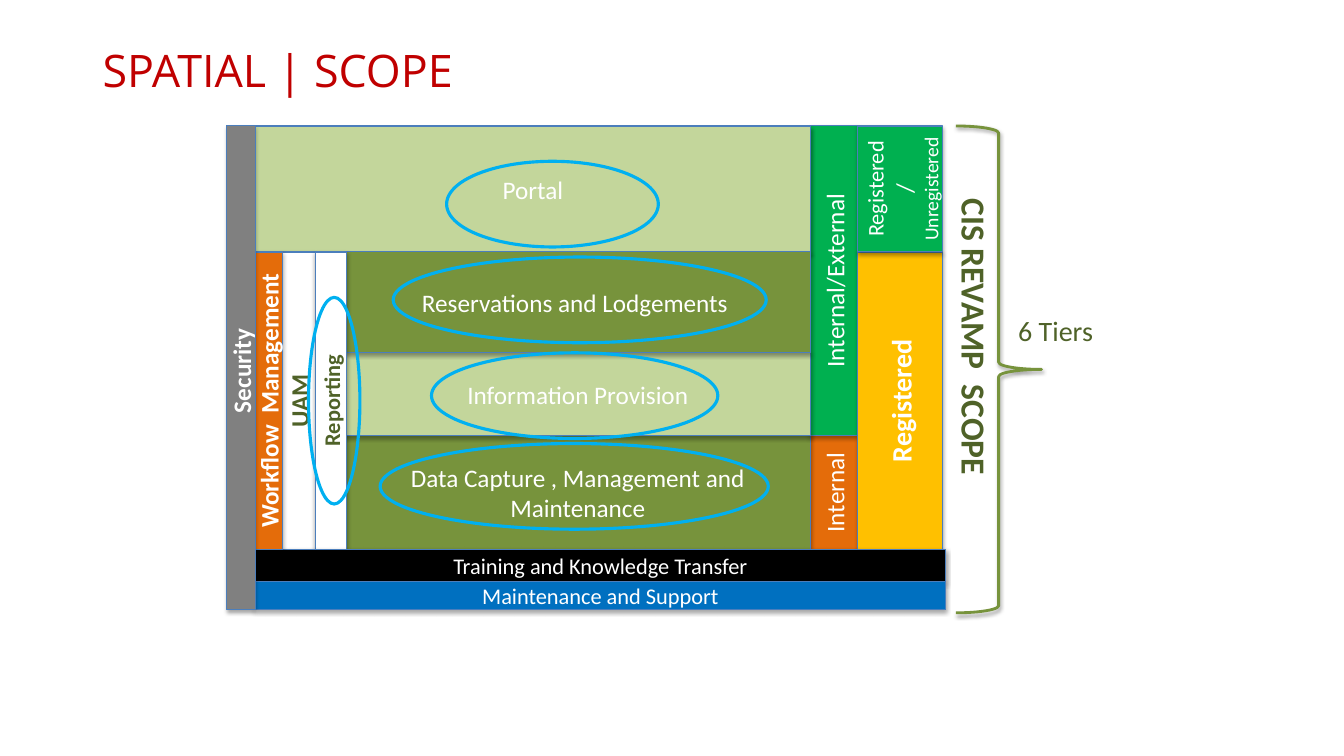
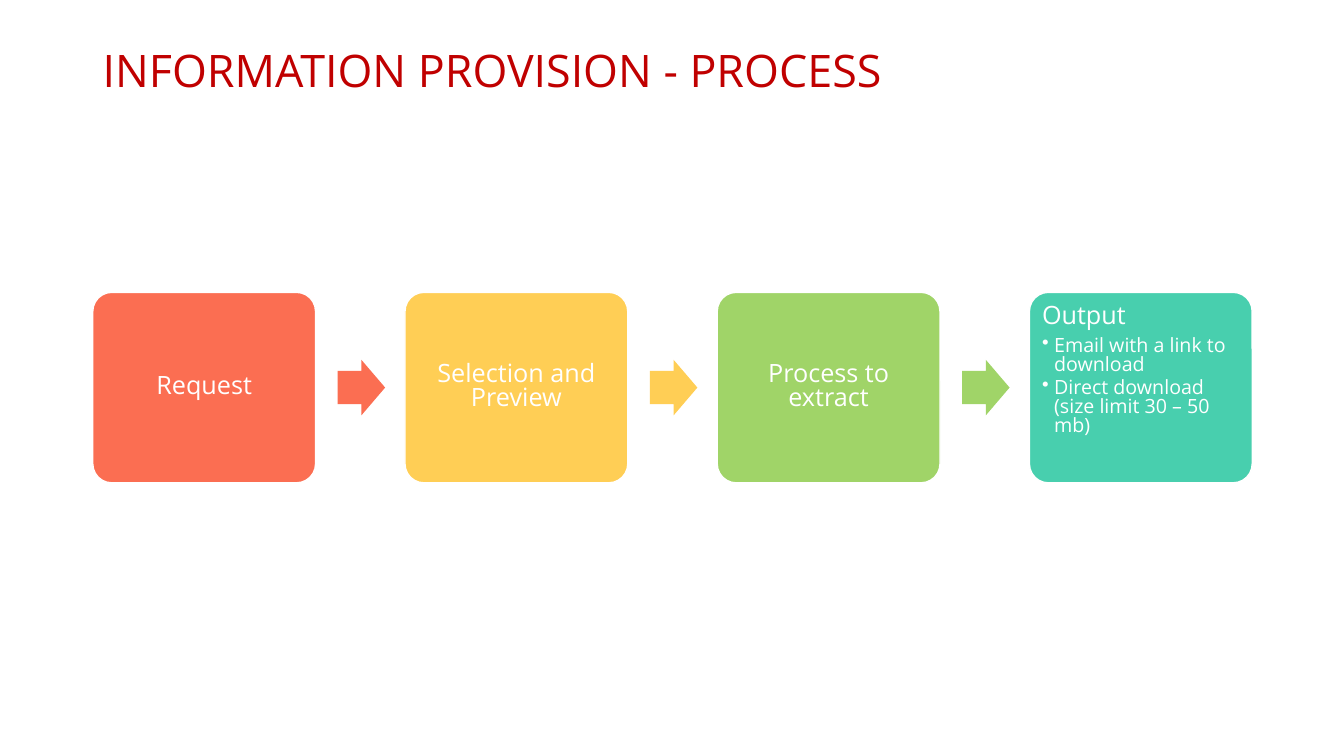
import pptx
import pptx.dml.color
import pptx.enum.shapes
import pptx.enum.text
import pptx.oxml
import pptx.oxml.ns
import pptx.util
from pptx.dml.color import RGBColor
from pptx.util import Inches, Pt

SHAPES = pptx.enum.shapes.MSO_SHAPE
ANCHOR = pptx.enum.text.MSO_ANCHOR
ALIGN = pptx.enum.text.PP_ALIGN

WHITE = RGBColor(0xFF, 0xFF, 0xFF)
BLACK = RGBColor(0x00, 0x00, 0x00)
TITLE_RED = RGBColor(0xC0, 0x00, 0x00)
DARK_GREEN = RGBColor(0x4F, 0x62, 0x28)
OLIVE = RGBColor(0x77, 0x93, 0x3C)
PALE_GREEN = RGBColor(0xC3, 0xD6, 0x9B)
GREEN = RGBColor(0x00, 0xB0, 0x50)
ORANGE = RGBColor(0xE4, 0x6C, 0x0A)
GOLD = RGBColor(0xFF, 0xC0, 0x00)
GREY = RGBColor(0x80, 0x80, 0x80)
BLUE = RGBColor(0x00, 0x70, 0xC0)
BORDER_BLUE = RGBColor(0x4B, 0x7E, 0xBC)
RING_BLUE = RGBColor(0x00, 0xB0, 0xF0)
CORAL = RGBColor(0xFB, 0x6E, 0x52)
YELLOW = RGBColor(0xFF, 0xCE, 0x55)
LIME = RGBColor(0xA0, 0xD4, 0x68)
TEAL = RGBColor(0x48, 0xCF, 0xAE)

BODY_FONT = "Calibri"
TITLE_FONT = "Open Sans"
UPWARD, DOWNWARD = "vert270", "vert"

TITLE_BOX = (0.92, 0.3, 11.5, 0.85)
SCOPE_BOX = (2.25, 1.25, 7.13, 4.8)
PROCESS_BOX = (0.92, 2.9, 11.5, 1.89)

# Edges of the scope diagram, from its top left corner
SECURITY, WORKFLOW, UAM, REPORTING, LAYERS, ACCESS, USERS, USERS_END, BANDS_END = (
    0, 0.28, 0.55, 0.88, 1.17, 5.79, 6.26, 7.1, 7.13)
PORTAL, RESERVATIONS, INFORMATION, CAPTURE, TRAINING, SUPPORT, BOTTOM = (
    0, 1.25, 2.25, 3.07, 4.2, 4.52, 4.8)

# Text, left, top, right, bottom, fill, size, bold, colour, direction
SCOPE_BLOCKS = [
    ("Internal", ACCESS, CAPTURE, USERS, TRAINING, ORANGE, 18, False, WHITE, UPWARD),
    ("Data Capture , Management and Maintenance", LAYERS, CAPTURE, ACCESS, TRAINING,
     OLIVE, 18, False, WHITE, None),
    ("Internal/External", ACCESS, PORTAL, USERS, CAPTURE, GREEN, 18, False, WHITE, UPWARD),
    ("Registered", USERS, RESERVATIONS, USERS_END, TRAINING, GOLD, 20, True, WHITE, UPWARD),
    ("Portal", WORKFLOW, PORTAL, ACCESS, RESERVATIONS, PALE_GREEN, 18, False, WHITE, None),
    ("Information Provision", LAYERS, INFORMATION, ACCESS, CAPTURE,
     PALE_GREEN, 18, False, WHITE, None),
    ("UAM", UAM, RESERVATIONS, REPORTING, TRAINING, WHITE, 18, True, DARK_GREEN, UPWARD),
    ("Reservations and Lodgements ", LAYERS, RESERVATIONS, ACCESS, INFORMATION,
     OLIVE, 18, False, WHITE, None),
    ([("Registered", 16), (" / ", 18), ("Unregistered", 14)], USERS, PORTAL, USERS_END,
     RESERVATIONS, GREEN, 16, False, WHITE, UPWARD),
    ("Reporting", REPORTING, RESERVATIONS, LAYERS + 0.02, TRAINING,
     WHITE, 16, True, DARK_GREEN, UPWARD),
    ("Training and Knowledge Transfer", WORKFLOW, TRAINING, BANDS_END, SUPPORT,
     BLACK, 16, False, WHITE, None),
    ("Maintenance and Support", WORKFLOW, SUPPORT, BANDS_END, BOTTOM,
     BLUE, 16, False, WHITE, None),
    ("Workflow  Management", WORKFLOW, RESERVATIONS, UAM, TRAINING,
     ORANGE, 18, True, WHITE, UPWARD),
    ("Security ", SECURITY, PORTAL, WORKFLOW, BOTTOM, GREY, 18, True, WHITE, UPWARD),
]

# Left, top, width, height from the corner of the scope diagram
SCOPE_RINGS = [
    (1.52, 3.15, 3.85, 0.85),
    (1.65, 1.3, 3.7, 0.85),
    (2.03, 2.25, 2.84, 0.85),
    (2.18, 0.35, 2.1, 0.85),
    (0.81, 1.7, 0.51, 2.05),
]

PROCESS_STEPS = [
    ("Request", CORAL, []),
    ("Selection and Preview", YELLOW, []),
    ("Process to extract", LIME, []),
    ("Output", TEAL, ["Email with a link to download",
                      "Direct download (size limit 30 – 50 mb)"]),
]


def add_shape(slide, kind, box, fill=None, line=None, line_width=0.75):
    shape = slide.shapes.add_shape(kind, *map(Inches, box))
    shape.shadow.inherit = False
    if fill is None:
        shape.fill.background()
    else:
        shape.fill.solid()
        shape.fill.fore_color.rgb = fill
    if line is None:
        shape.line.fill.background()
    else:
        shape.line.color.rgb = line
        shape.line.width = Pt(line_width)
    return shape


def add_drop_shadow(shape, opacity):
    shadow = pptx.oxml.parse_xml(
        f'<a:outerShdw {pptx.oxml.ns.nsdecls("a")} blurRad="{Pt(3.1)}" dist="{Pt(1.7)}" '
        'dir="5400000" rotWithShape="0"><a:srgbClr val="000000">'
        f'<a:alpha val="{opacity * 1000}"/></a:srgbClr></a:outerShdw>')
    shape.element.spPr.find(pptx.oxml.ns.qn("a:effectLst")).append(shadow)


def set_font(paragraph, name, size, color, bold=False):
    paragraph.font.name = name
    paragraph.font.size = Pt(size)
    paragraph.font.color.rgb = color
    paragraph.font.bold = bold


def set_direction(shape, direction):
    if direction:
        shape.element.txBody.bodyPr.set("vert", direction)


def add_label(slide, box, text, font, size, color, bold=False, direction=None):
    label = slide.shapes.add_textbox(*map(Inches, box))
    label.text_frame.word_wrap = True
    set_direction(label, direction)
    paragraph = label.text_frame.paragraphs[0]
    paragraph.text = text
    set_font(paragraph, font, size, color, bold)
    return label


def add_title(slide, text):
    title = add_label(slide, TITLE_BOX, text, TITLE_FONT, 32, TITLE_RED)
    title.text_frame.vertical_anchor = ANCHOR.MIDDLE
    title.text_frame.paragraphs[0].line_spacing = 0.9


def add_block(slide, box, text, fill, size, bold, color, direction):
    """Add a bordered block; text is a string or a list of (words, size) runs."""
    block = add_shape(slide, SHAPES.RECTANGLE, box, fill, BORDER_BLUE)
    add_drop_shadow(block, 35)
    block.text_frame.word_wrap = True
    block.text_frame.vertical_anchor = ANCHOR.MIDDLE
    set_direction(block, direction)
    paragraph = block.text_frame.paragraphs[0]
    paragraph.alignment = ALIGN.CENTER
    set_font(paragraph, BODY_FONT, size, color, bold)
    if isinstance(text, str):
        paragraph.text = text
    else:
        for words, run_size in text:
            run = paragraph.add_run()
            run.text = words
            run.font.size = Pt(run_size)


def add_scope_diagram(slide, box):
    x, y, width, height = box
    for text, left, top, right, bottom, *style in SCOPE_BLOCKS:
        add_block(slide, (x + left, y + top, right - left, bottom - top), text, *style)
    for left, top, ring_width, ring_height in SCOPE_RINGS:
        add_shape(slide, SHAPES.OVAL, (x + left, y + top, ring_width, ring_height),
                  line=RING_BLUE, line_width=2.25)


def add_scope_brace(slide, box):
    """Add the brace and its labels to the right of the diagram box."""
    x, y, width, height = box
    right = x + width
    add_label(slide, (right + 0.62, y + 1.81, 1.09, 0.44), "6 Tiers",
              BODY_FONT, 20, DARK_GREEN)
    add_label(slide, (right - 0.02, y + 0.62, 0.56, 4.38), "CIS REVAMP  SCOPE",
              BODY_FONT, 24, DARK_GREEN, True, DOWNWARD)
    brace = add_shape(slide, SHAPES.RIGHT_BRACE, (right + 0.1, y, 0.85, height + 0.03),
                      line=OLIVE, line_width=2)
    add_drop_shadow(brace, 38)


def add_bullet(paragraph, indent):
    properties = paragraph._p.get_or_add_pPr()
    properties.set("marL", str(Inches(indent)))
    properties.set("indent", str(-Inches(indent)))
    properties.append(pptx.oxml.parse_xml(
        f'<a:buChar {pptx.oxml.ns.nsdecls("a")} char="•"/>'))


def add_step(slide, box, heading, fill, bullets):
    step = add_shape(slide, SHAPES.ROUNDED_RECTANGLE, box, fill, WHITE, 1)
    step.adjustments[0] = 0.1
    frame = step.text_frame
    frame.word_wrap = True
    frame.margin_left = frame.margin_right = Inches(0.07)
    frame.margin_top = frame.margin_bottom = Inches(0.07)
    frame.vertical_anchor = ANCHOR.TOP if bullets else ANCHOR.MIDDLE
    for index, text in enumerate([heading, *bullets]):
        paragraph = frame.add_paragraph() if index else frame.paragraphs[0]
        paragraph.text = text
        paragraph.alignment = ALIGN.LEFT if bullets else ALIGN.CENTER
        paragraph.line_spacing = 0.8
        paragraph.space_after = Pt(3 if index else 6)
        set_font(paragraph, TITLE_FONT, 14 if index else 18, WHITE)
        if index:
            paragraph.level = 1
            add_bullet(paragraph, 0.12)


def add_process(slide, box):
    """Spread the steps evenly over the box, with an arrow after each but the last."""
    x, y, width, height = box
    step_width, arrow_width, arrow_height = 2.21, 0.47, 0.55
    pitch = (width - step_width) / (len(PROCESS_STEPS) - 1)
    for index, (heading, fill, bullets) in enumerate(PROCESS_STEPS):
        left = x + index * pitch
        add_step(slide, (left, y, step_width, height), heading, fill, bullets)
        if index < len(PROCESS_STEPS) - 1:
            arrow = add_shape(slide, SHAPES.RIGHT_ARROW, (
                left + step_width + 0.22, y + (height - arrow_height) / 2,
                arrow_width, arrow_height), fill)
            arrow.adjustments[0] = 0.6


def add_slide(presentation, title):
    slide = presentation.slides.add_slide(presentation.slide_layouts[6])
    add_title(slide, title)
    return slide


def main():
    presentation = pptx.Presentation()
    presentation.slide_width = Inches(13.33)
    presentation.slide_height = Inches(7.5)

    scope_slide = add_slide(presentation, "SPATIAL | SCOPE")
    add_scope_brace(scope_slide, SCOPE_BOX)
    add_scope_diagram(scope_slide, SCOPE_BOX)

    process_slide = add_slide(presentation, "INFORMATION PROVISION - PROCESS")
    add_process(process_slide, PROCESS_BOX)

    presentation.save("out.pptx")


if __name__ == "__main__":
    main()
